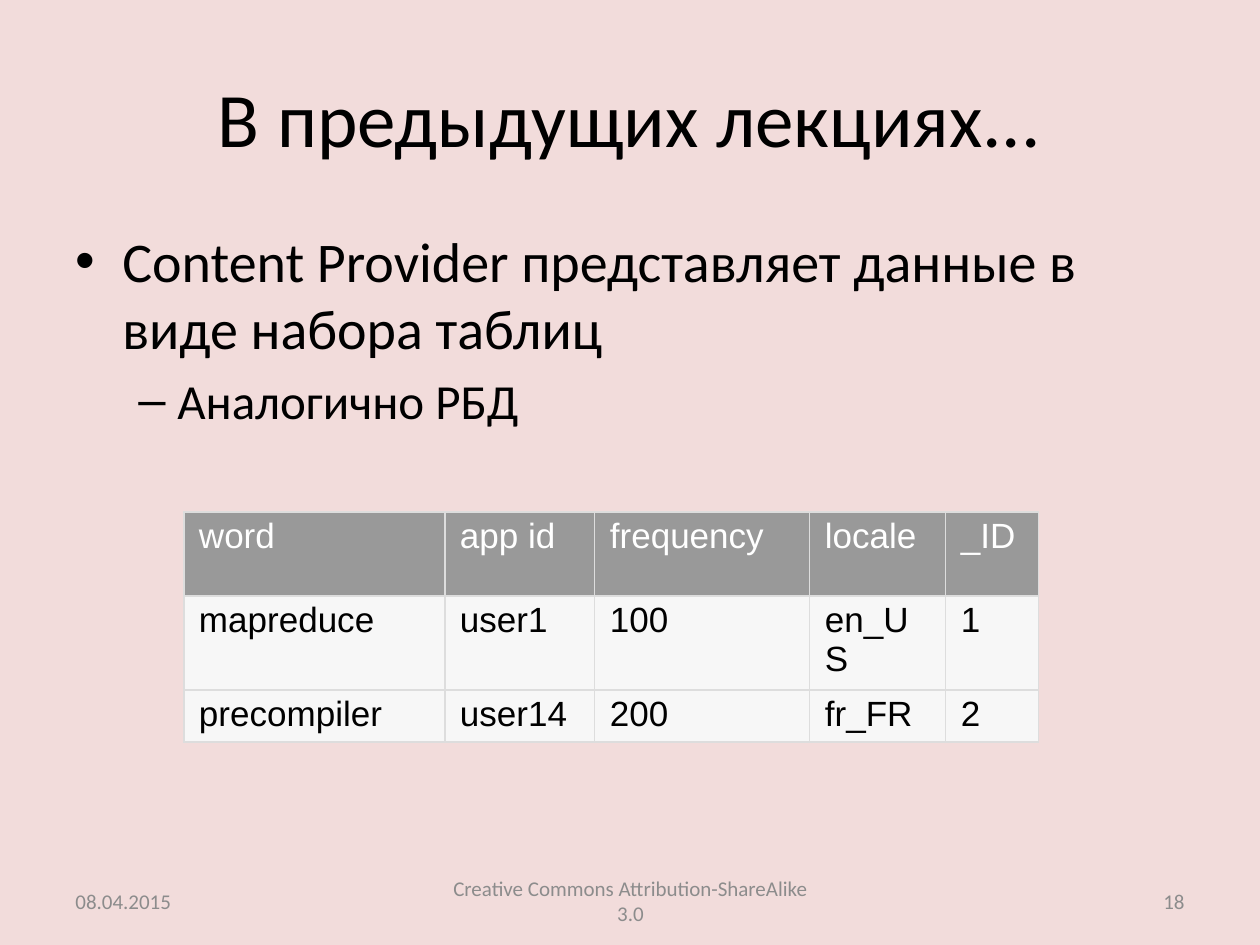
from dataclasses import dataclass

from lxml.etree import SubElement
from pptx import Presentation
from pptx.dml.color import RGBColor
from pptx.enum.text import MSO_ANCHOR, PP_ALIGN
from pptx.oxml.ns import qn
from pptx.util import Emu, Pt

PX_PER_INCH = 126
BACKGROUND = RGBColor(0xF2, 0xDC, 0xDB)
BLACK = RGBColor(0x00, 0x00, 0x00)
WHITE = RGBColor(0xFF, 0xFF, 0xFF)
FOOTER_GRAY = RGBColor(0x8C, 0x8C, 0x8C)
HEADER_FILL = RGBColor(0x99, 0x99, 0x99)
ROW_FILL = RGBColor(0xF7, 0xF7, 0xF7)
BORDER = RGBColor(0xDD, 0xDD, 0xDD)


def px(length: int) -> Emu:
    return Emu(round(length * 914400 / PX_PER_INCH))


@dataclass
class Line:
    text: str
    size: int
    color: RGBColor = BLACK
    align: PP_ALIGN = PP_ALIGN.LEFT
    bullet: str = ""
    indent: int = 0
    hanging: int = 0


@dataclass
class Block:
    left: int
    top: int
    width: int
    height: int
    lines: list[Line]
    anchor: MSO_ANCHOR = MSO_ANCHOR.MIDDLE


def footer(left: int, width: int, text: str, align: PP_ALIGN) -> Block:
    return Block(left, 876, width, 50, [Line(text, 12, FOOTER_GRAY, align)])


BLOCKS = [
    Block(63, 38, 1134, 158,
          [Line("В предыдущих лекциях...", 44, align=PP_ALIGN.CENTER)]),
    Block(63, 220, 1134, 624, [
        Line("Content Provider представляет данные в виде набора таблиц", 32,
             bullet="•", indent=47, hanging=47),
        Line("Аналогично РБД\u00a0", 28, bullet="–", indent=102, hanging=39),
    ], MSO_ANCHOR.TOP),
    footer(63, 294, "08.04.2015", PP_ALIGN.LEFT),
    footer(431, 399, "Creative Commons Attribution-ShareAlike 3.0", PP_ALIGN.CENTER),
    footer(903, 294, "18", PP_ALIGN.RIGHT),
]

COLUMN_WIDTHS = [261, 150, 215, 136, 93]
ROW_HEIGHTS = [84, 84, 48]
DICTIONARY = [
    ["word", "app id", "frequency", "locale", "_ID"],
    ["mapreduce", "user1", "100", "en_US", "1"],
    ["precompiler", "user14", "200", "fr_FR", "2"],
]


def add_bullet(paragraph, line: Line) -> None:
    properties = paragraph._p.get_or_add_pPr()
    properties.set("marL", str(px(line.indent)))
    properties.set("indent", str(-px(line.hanging)))
    SubElement(properties, qn("a:buFont"), typeface="Arial")
    SubElement(properties, qn("a:buChar"), char=line.bullet)


def add_block(slide, block: Block) -> None:
    box = slide.shapes.add_textbox(
        px(block.left), px(block.top), px(block.width), px(block.height))
    frame = box.text_frame
    frame.word_wrap = True
    frame.vertical_anchor = block.anchor
    for index, line in enumerate(block.lines):
        paragraph = frame.add_paragraph() if index else frame.paragraphs[0]
        paragraph.text = line.text
        paragraph.alignment = line.align
        paragraph.font.name = "Calibri"
        paragraph.font.size = Pt(line.size)
        paragraph.font.color.rgb = line.color
        if line.bullet:
            paragraph.space_before = Pt(line.size * 0.2)
            add_bullet(paragraph, line)


def add_borders(cell) -> None:
    properties = cell._tc.get_or_add_tcPr()
    for position, side in enumerate(("lnL", "lnR", "lnT", "lnB")):
        edge = SubElement(properties, qn(f"a:{side}"), w=str(Pt(0.75)))
        fill = SubElement(edge, qn("a:solidFill"))
        SubElement(fill, qn("a:srgbClr"), val=str(BORDER))
        # Borders must precede the cell fill
        properties.insert(position, edge)


def fill_cell(cell, text: str, is_header: bool) -> None:
    cell.margin_left = cell.margin_right = px(15)
    cell.margin_top = cell.margin_bottom = px(5)
    cell.fill.solid()
    cell.fill.fore_color.rgb = HEADER_FILL if is_header else ROW_FILL
    paragraph = cell.text_frame.paragraphs[0]
    paragraph.text = text
    paragraph.font.name = "Arial"
    paragraph.font.size = Pt(20)
    paragraph.font.bold = False
    paragraph.font.color.rgb = WHITE if is_header else BLACK
    add_borders(cell)


def add_dictionary(slide, left: int, top: int) -> None:
    table = slide.shapes.add_table(
        len(ROW_HEIGHTS), len(COLUMN_WIDTHS), px(left), px(top),
        px(sum(COLUMN_WIDTHS)), px(sum(ROW_HEIGHTS))).table
    table.horz_banding = False
    for column, width in zip(table.columns, COLUMN_WIDTHS):
        column.width = px(width)
    for row_index, (row, height) in enumerate(zip(table.rows, ROW_HEIGHTS)):
        row.height = px(height)
        for cell, text in zip(row.cells, DICTIONARY[row_index]):
            fill_cell(cell, text, row_index == 0)


def main() -> None:
    presentation = Presentation()
    presentation.slide_width = px(1260)
    presentation.slide_height = px(945)
    slide = presentation.slides.add_slide(presentation.slide_layouts[6])
    slide.background.fill.solid()
    slide.background.fill.fore_color.rgb = BACKGROUND

    # Title, bullets and footer
    for block in BLOCKS:
        add_block(slide, block)

    # Sample dictionary table
    add_dictionary(slide, 184, 512)

    presentation.save("out.pptx")


if __name__ == "__main__":
    main()
